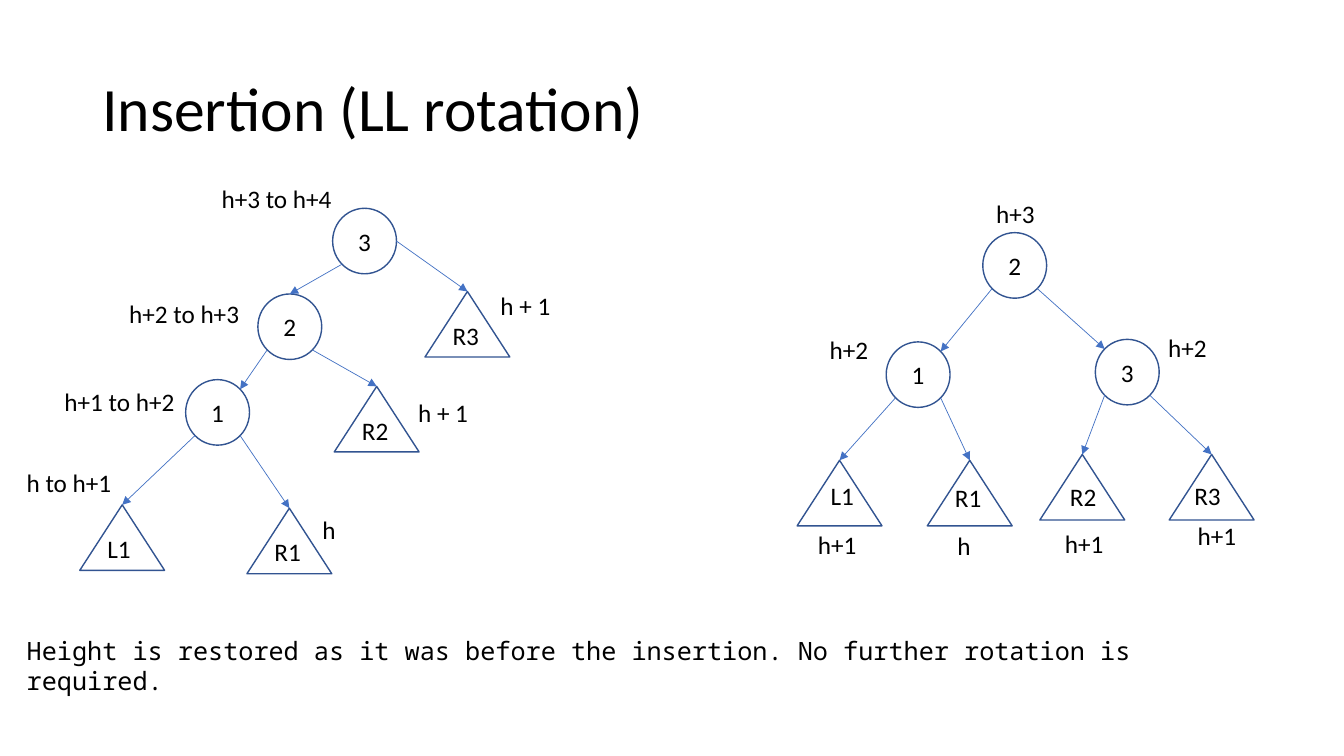
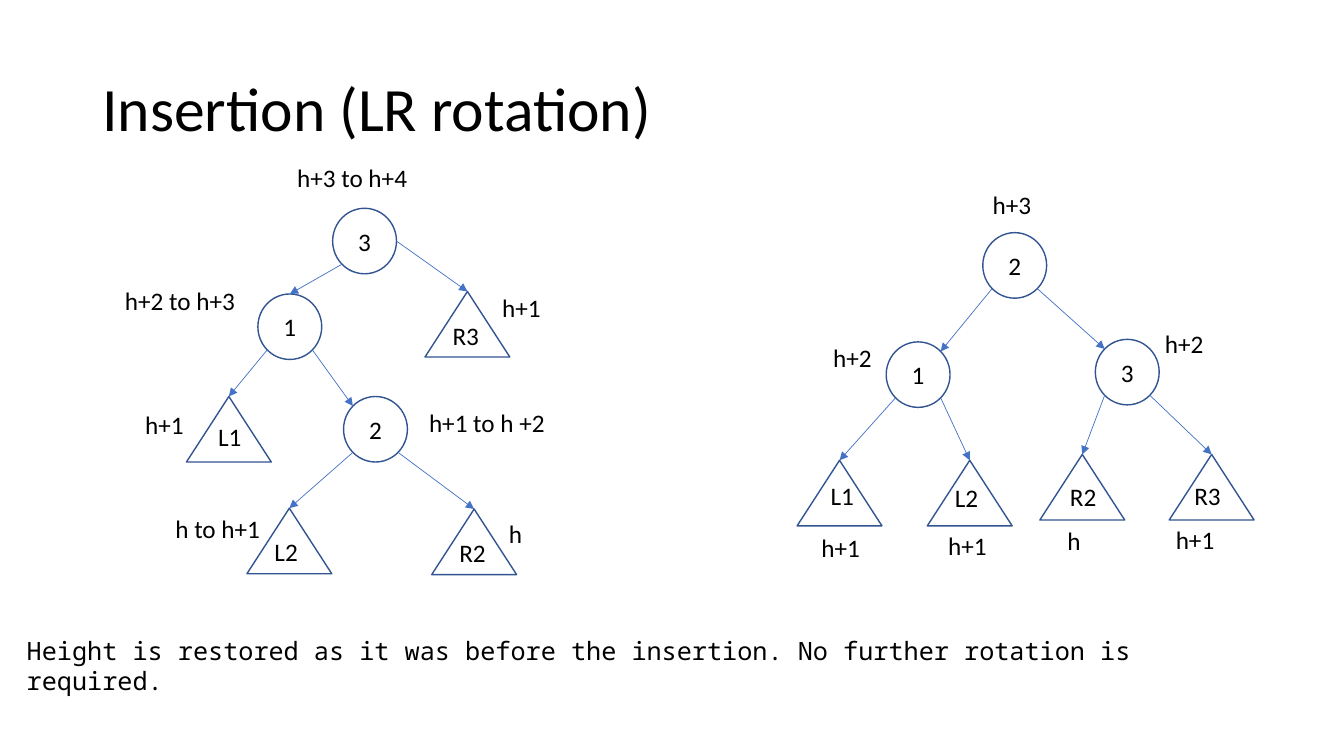
from dataclasses import dataclass, field
from math import sqrt

from lxml.etree import SubElement
from pptx import Presentation
from pptx.dml.color import RGBColor
from pptx.enum.shapes import MSO_CONNECTOR as Connector, MSO_SHAPE as Shape
from pptx.enum.text import MSO_ANCHOR as Anchor, PP_ALIGN as Align
from pptx.oxml.ns import qn
from pptx.util import Inches, Pt


@dataclass(frozen=True)
class Theme:
    text: RGBColor = RGBColor(0x00, 0x00, 0x00)
    outline: RGBColor = RGBColor(0x32, 0x54, 0x91)
    arrow: RGBColor = RGBColor(0x44, 0x72, 0xC4)
    font: str = "Calibri"
    mono: str = "Noto Sans Mono"
    title_size: int = 44
    body_size: int = 18


THEME = Theme()

# The slide is a grid of 160 columns by 90 square rows
COLUMNS, ROWS = 160, 90
CIRCLE = (7.6, 7.8)
TRIANGLE = (10.1, 7.8)
LABEL = (18, 4.8)
CLOSING = "Height is restored as it was before the insertion. No further rotation is required."


def grid(cells):
    return Inches(cells / 12)


def box(*cells):
    return [grid(cell) for cell in cells]


@dataclass
class Node:
    """A numbered circle, or a triangle standing for a subtree."""
    name: str
    left: float
    top: float
    height: str
    height_at: tuple
    children: list = field(default_factory=list)
    name_offset: tuple = (2.1, 2.8)
    from_side: bool = False  # incoming arrow leaves the parent's side
    to_top: bool = False     # incoming arrow ends at the top

    @property
    def is_circle(self):
        return self.name.isdigit()

    @property
    def size(self):
        return CIRCLE if self.is_circle else TRIANGLE

    @property
    def center(self):
        width, height = self.size
        return self.left + width / 2, self.top + height / 2

    def rim(self, across, down):
        """Point on the outline; directions are shares of the half size."""
        x, y = self.center
        width, height = self.size
        return x + across * width / 2, y + down * height / 2


# Text
def add_run(paragraph, text, size=THEME.body_size, font=THEME.font):
    run = paragraph.add_run()
    run.text = text
    run.font.size = Pt(size)
    run.font.name = font
    run.font.color.rgb = THEME.text


def add_title(slide, text):
    title = slide.shapes.title
    title.left, title.top, title.width, title.height = box(11, 4.6, 138, 17.4)
    title.text_frame.vertical_anchor = Anchor.MIDDLE
    paragraph = title.text_frame.paragraphs[0]
    paragraph.alignment = Align.LEFT
    paragraph.line_spacing = 0.9
    add_run(paragraph, text, THEME.title_size)


def add_label(slide, text, position, size=LABEL, font=THEME.font):
    frame = slide.shapes.add_textbox(*box(*position, *size)).text_frame
    frame.word_wrap = True
    add_run(frame.paragraphs[0], text, font=font)


# Trees
def add_node(slide, node):
    preset = Shape.OVAL if node.is_circle else Shape.ISOSCELES_TRIANGLE
    shape = slide.shapes.add_shape(preset, *box(node.left, node.top, *node.size))
    shape.shadow.inherit = False
    shape.fill.background()
    shape.line.color.rgb = THEME.outline
    shape.line.width = Pt(1)
    if node.is_circle:
        shape.text_frame.vertical_anchor = Anchor.MIDDLE
        paragraph = shape.text_frame.paragraphs[0]
        paragraph.alignment = Align.CENTER
        add_run(paragraph, node.name)
    else:
        across, down = node.name_offset
        add_label(slide, node.name, (node.left + across, node.top + down), (7.2, 4.8))
    add_label(slide, node.height, node.height_at)
    return shape


def add_arrow(slide, parent, child, child_shape):
    side = -1 if child.center[0] < parent.center[0] else 1
    diagonal = 1 / sqrt(2)
    start = parent.rim(side, 0) if child.from_side else parent.rim(side * diagonal, diagonal)
    at_top = child.to_top or not child.is_circle
    end = child.rim(0, -1) if at_top else child.rim(-side * diagonal, -diagonal)
    arrow = slide.shapes.add_connector(Connector.STRAIGHT, *box(*start, *end))
    if at_top:
        arrow.end_connect(child_shape, 0)
    arrow.line.color.rgb = THEME.arrow
    arrow.line.width = Pt(0.5)
    SubElement(arrow.line._get_or_add_ln(), qn("a:tailEnd"), type="triangle")
    SubElement(arrow._element.spPr, qn("a:effectLst"))


def add_tree(slide, node):
    shape = add_node(slide, node)
    for child in node.children:
        add_arrow(slide, node, child, add_tree(slide, child))
    return shape


# Content
def unbalanced_tree(root_label_at, left_child, right_leaf_height, right_leaf_label_at):
    right_leaf = Node("R3", 50.6, 34.7, right_leaf_height, right_leaf_label_at, from_side=True)
    return Node("3", 39.6, 24.8, "h+3 to h+4", root_label_at, [left_child, right_leaf])


def ll_tree():
    one = Node("1", 22.1, 45.2, "h+1 to h+2", (6.5, 45.4), [
        Node("L1", 9.5, 60.1, "h to h+1", (2, 55)),
        Node("R1", 29.4, 60.5, "h", (37.2, 60.6)),
    ])
    two = Node("2", 30.7, 35, "h+2 to h+3", (14.2, 34.9), [
        one,
        Node("R2", 39.8, 46, "h + 1", (48.6, 46.7)),
    ], to_top=True)
    return unbalanced_tree((25.2, 21.2), two, "h + 1", (58.4, 34))


def lr_tree():
    two = Node("2", 40.9, 47.2, "h+1 to h +2", (49.9, 47.9), [
        Node("L2", 29.4, 60.5, "h to h+1", (19.7, 60.5)),
        Node("R2", 51.4, 60.6, "h", (59.4, 61.1)),
    ])
    one = Node("1", 30.7, 35, "h+2 to h+3", (13.7, 33.4), [
        Node("L1", 22.2, 47.2, "h+1", (16.1, 48.1), name_offset=(2.6, 2.4)),
        two,
    ], to_top=True)
    return unbalanced_tree((34.2, 18.7), one, "h+1", (58.6, 34.2))


def balanced_tree(inner_leaf, leaf_heights, leaf_labels_at, circle_labels_at):
    names = ("L1", inner_leaf, "R2", "R3")
    corners = ((94.9, 54.8), (110.4, 54.8), (123.8, 54.1), (139.2, 54.1))
    offsets = ((2.8, 1.8), (2.1, 2), (2.4, 2.6), (1.8, 2.5))
    leaves = [
        Node(name, *corner, height, label_at, name_offset=offset)
        for name, corner, height, label_at, offset
        in zip(names, corners, leaf_heights, leaf_labels_at, offsets)
    ]
    root_at, left_at, right_at = circle_labels_at
    return Node("2", 117, 27.7, "h+3", root_at, [
        Node("1", 105.5, 40.7, "h+2", left_at, leaves[:2]),
        Node("3", 130.4, 40.4, "h+2", right_at, leaves[2:]),
    ])


def add_rotation_slide(presentation, title, before, after):
    slide = presentation.slides.add_slide(presentation.slide_layouts[5])
    add_title(slide, title)
    add_tree(slide, before)
    add_tree(slide, after)
    add_label(slide, CLOSING, (2, 75), (147.2, 8.3), THEME.mono)


def main():
    presentation = Presentation()
    presentation.slide_width = grid(COLUMNS)
    presentation.slide_height = grid(ROWS)

    # LL rotation
    ll_result = balanced_tree(
        "R1", ("h+1", "h", "h+1", "h+1"),
        ((96.2, 62.4), (112.8, 62.6), (125.6, 62.3), (141.4, 61.4)),
        ((117.4, 23), (97.6, 39.2), (137.9, 39)))
    add_rotation_slide(presentation, "Insertion (LL rotation)", ll_tree(), ll_result)

    # LR rotation
    lr_result = balanced_tree(
        "L2", ("h+1", "h+1", "h", "h+1"),
        ((96.6, 62.8), (111.7, 62.6), (125.9, 61.9), (138.8, 61.8)),
        ((117, 22), (98, 40.2), (137.5, 38.5)))
    add_rotation_slide(presentation, "Insertion (LR rotation)", lr_tree(), lr_result)

    presentation.save("out.pptx")


if __name__ == "__main__":
    main()
